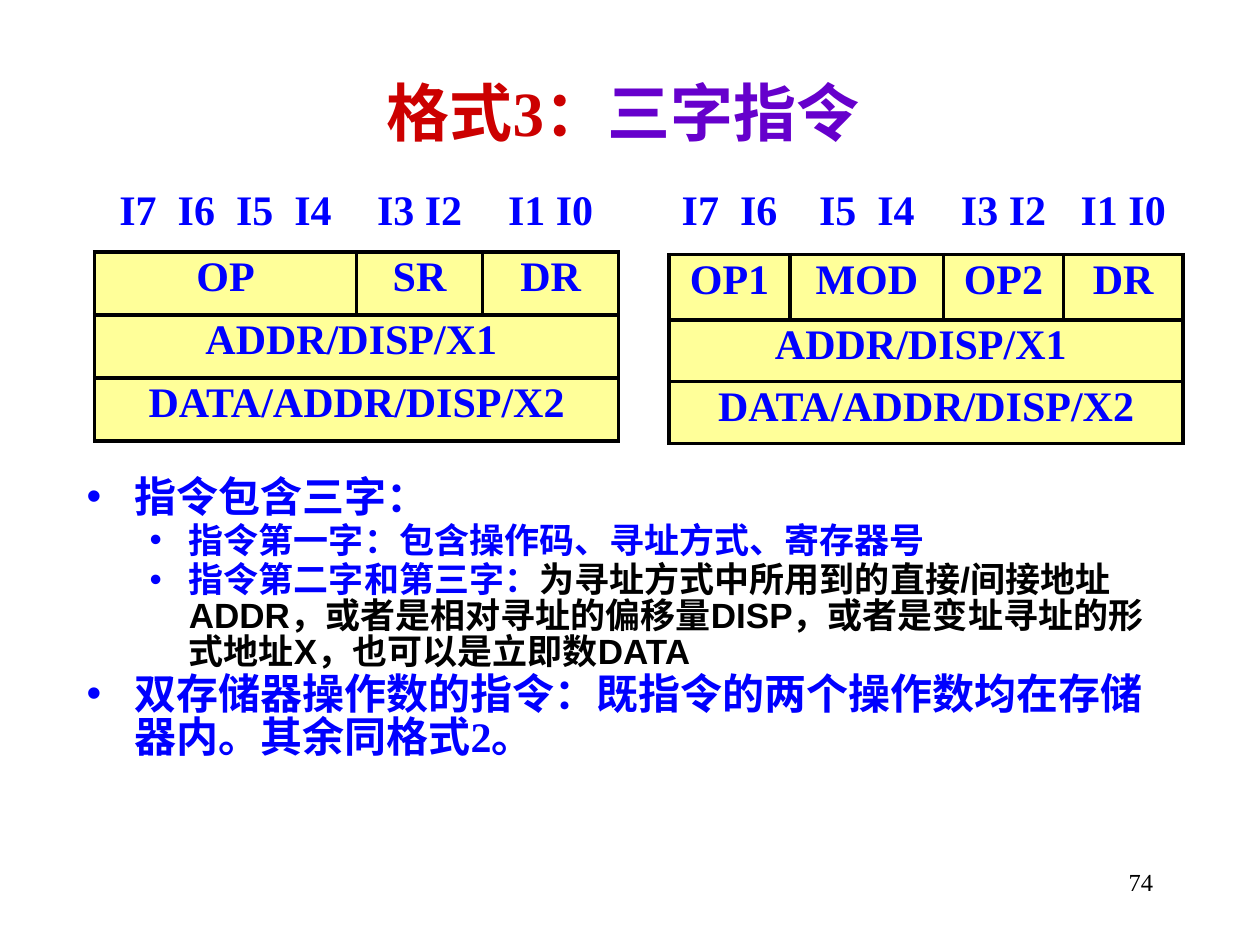
from dataclasses import dataclass

from lxml.etree import SubElement
from pptx import Presentation
from pptx.dml.color import RGBColor as Color
from pptx.enum.text import MSO_ANCHOR as Anchor, MSO_AUTO_SIZE as AutoSize, PP_ALIGN as Align
from pptx.oxml.ns import qn
from pptx.util import Inches, Pt


@dataclass(frozen=True)
class Theme:
    red: str = "CC0000"
    purple: str = "6600CC"
    blue: str = "0000FF"
    black: str = "000000"
    yellow: str = "FFFF99"
    serif: str = "Times New Roman"
    sans: str = "Arial"
    title: int = 36
    large: int = 24
    medium: int = 20
    small: int = 14
    border: float = 2.25


THEME = Theme()
PLAIN_TABLE = "{2D5ABB26-0587-4C30-8999-92F81FD0307C}"


def add_text(para, text, size=THEME.large, color=THEME.blue, font=THEME.serif,
             bold=True, align=None):
    span = para.add_run()
    span.text = text
    span.font.size = Pt(size)
    span.font.name = font
    span.font.bold = bold
    span.font.color.rgb = Color.from_string(color)
    if align is not None:
        para.alignment = align


def add_box(slide, left, top, width, height):
    box = slide.shapes.add_textbox(Inches(left), Inches(top), Inches(width), Inches(height))
    box.text_frame.word_wrap = True
    return box.text_frame


def add_title(slide):
    title = slide.shapes.title
    title.left, title.top = Inches(0.75), Inches(0.52)
    title.width, title.height = Inches(8.5), Inches(0.72)
    frame = title.text_frame
    frame.auto_size = AutoSize.NONE
    frame.vertical_anchor = Anchor.MIDDLE
    para = frame.paragraphs[0]
    add_text(para, "格式3：", size=THEME.title, color=THEME.red, align=Align.CENTER)
    add_text(para, "三字指令 ", size=THEME.title, color=THEME.purple)


def set_borders(cell, sides):
    properties = cell._tc.get_or_add_tcPr()
    for side in sides:
        line = SubElement(properties, qn(f"a:ln{side}"), w=str(Pt(THEME.border)))
        fill = SubElement(line, qn("a:solidFill"))
        SubElement(fill, qn("a:srgbClr"), val=THEME.black)


def add_format_table(slide, left, top, widths, heights, bits, fields):
    """Bit numbers above the first word, then two words of full width."""
    rows = [bits, fields, ["ADDR/DISP/X1 "], ["DATA/ADDR/DISP/X2"]]
    frame = slide.shapes.add_table(len(rows), len(widths), Inches(left), Inches(top),
                                   Inches(sum(widths)), Inches(sum(heights)))
    table = frame.table
    table.first_row = table.horz_banding = False
    table._tbl.tblPr.find(qn("a:tableStyleId")).text = PLAIN_TABLE
    for column, width in zip(table.columns, widths):
        column.width = Inches(width)
    for index, (row, height, texts) in enumerate(zip(table.rows, heights, rows)):
        row.height = Inches(height)
        for cell in row.cells:
            cell.margin_left = cell.margin_right = Inches(0.02)
            cell.margin_top = cell.margin_bottom = Inches(0.02)
            set_borders(cell, "LRTB" if index else "B")
            if index:
                cell.fill.solid()
                cell.fill.fore_color.rgb = Color.from_string(THEME.yellow)
            else:
                cell.fill.background()
        if len(texts) == 1:
            table.cell(index, 0).merge(table.cell(index, len(widths) - 1))
        for cell, text in zip(row.cells, texts):
            add_text(cell.text_frame.paragraphs[0], text, align=Align.CENTER)


def add_bullet(para, level, indent, hanging):
    para.level = level
    para.line_spacing = 0.85
    para.space_after = Pt(2)
    properties = para._p.get_or_add_pPr()
    properties.set("marL", str(Inches(indent)))
    properties.set("indent", str(-Inches(hanging)))
    SubElement(properties, qn("a:buFont"), typeface=THEME.sans)
    SubElement(properties, qn("a:buChar"), char="•")


def add_notes_list(slide):
    # Each item: level, then its parts as (text, colour)
    items = [
        (0, [("指令包含三字：", THEME.blue)]),
        (1, [("指令第一字：包含操作码、寻址方式、寄存器号", THEME.blue)]),
        (1, [("指令第二字和第三字：", THEME.blue),
             ("为寻址方式中所用到的直接/间接地址ADDR，或者是相对寻址的偏移量DISP，"
              "或者是变址寻址的形式地址X，也可以是立即数DATA", THEME.black)]),
        (0, [("双存储器操作数的指令：既指令的两个操作数均在存储器内。其余同格式2。", THEME.blue)]),
    ]
    indents = [(0.38, 0.38), (0.81, 0.31)]
    formats = [dict(size=THEME.large, font=THEME.serif),
               dict(size=THEME.medium, font=THEME.sans)]
    frame = add_box(slide, 0.59, 3.75, 8.74, 2.52)
    for index, (level, parts) in enumerate(items):
        para = frame.add_paragraph() if index else frame.paragraphs[0]
        add_bullet(para, level, *indents[level])
        for text, color in parts:
            add_text(para, text, color=color, **formats[level])


def main():
    deck = Presentation()
    deck.slide_width, deck.slide_height = Inches(10), Inches(7.5)
    slide = deck.slides.add_slide(deck.slide_layouts[5])
    add_title(slide)

    # Instruction formats: two memory operands on the right, one on the left
    add_format_table(slide, 5.31, 1.47, [0.96, 1.22, 0.95, 0.95], [0.55, 0.52, 0.49, 0.49],
                     ["I7  I6", "I5  I4", "I3 I2", "I1 I0"], ["OP1", "MOD", "OP2", "DR"])
    add_notes_list(slide)
    add_format_table(slide, 0.75, 1.47, [2.08, 1, 1.08], [0.53, 0.5, 0.5, 0.5],
                     ["I7  I6  I5  I4", "I3 I2", "I1 I0"], ["OP", "SR", "DR"])

    # Page number
    number = add_box(slide, 7.17, 6.83, 2.08, 0.5)
    add_text(number.paragraphs[0], "74", size=THEME.small, color=THEME.black,
             bold=False, align=Align.RIGHT)
    deck.save("out.pptx")


if __name__ == "__main__":
    main()
